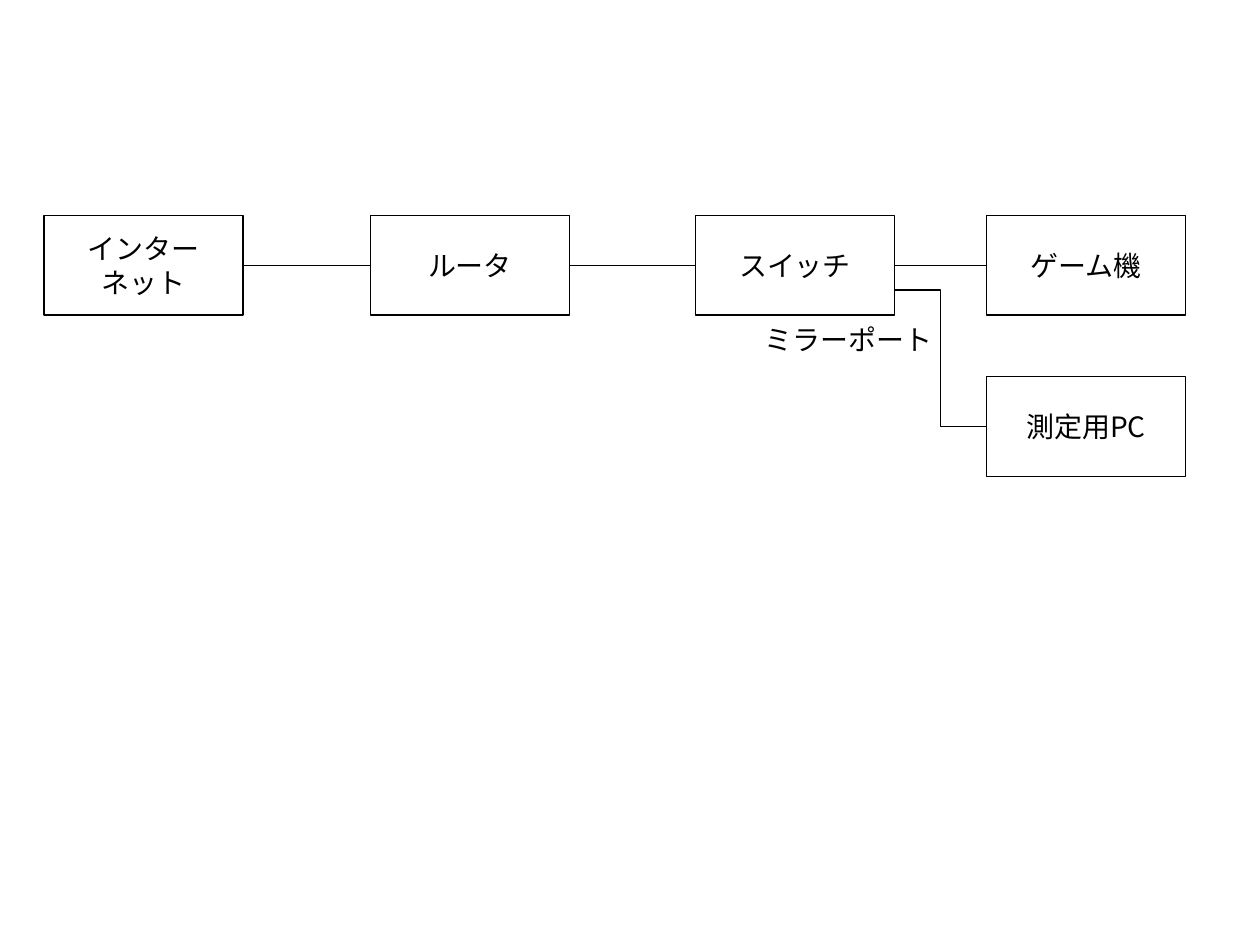
"""Build a network diagram showing a switch with a mirror port to a measuring PC."""
from lxml.etree import SubElement
from pptx import Presentation
from pptx.dml.color import RGBColor
from pptx.enum.shapes import MSO_CONNECTOR as Connector, MSO_SHAPE as Shape
from pptx.enum.text import MSO_ANCHOR as Anchor, MSO_AUTO_SIZE as AutoSize, PP_ALIGN as Align
from pptx.oxml.ns import qn
from pptx.util import Inches, Pt

FONT, TEXT_SIZE, INK, LINE_WIDTH = "Noto Sans CJK JP", 16, "000000", 0.75
BOX_WIDTH, BOX_HEIGHT, BOX_INSET = 1.58, 0.79, 0.39
COLUMNS = (0.35, 2.94, 5.52, 7.83)
ROWS = (1.71, 2.99)
NODES = {
    "internet": (("インター", "ネット"), 0, 0),
    "router": (("ルータ",), 1, 0),
    "switch": (("スイッチ",), 2, 0),
    "console": (("ゲーム機",), 3, 0),
    "pc": (("測定用PC",), 3, 1),
}
LINKS = (
    ("internet", "router", Connector.STRAIGHT, 0.5),
    ("router", "switch", Connector.STRAIGHT, 0.5),
    ("switch", "console", Connector.STRAIGHT, 0.5),
    ("switch", "pc", Connector.ELBOW, 0.75),
)
PORT_LABEL = ("ミラーポート", 5.97, 2.51, 1.55, 0.37)


def color(value):
    return RGBColor.from_string(value)


def write(frame, lines, alignment):
    frame.word_wrap = False
    for index, line in enumerate(lines):
        paragraph = frame.add_paragraph() if index else frame.paragraphs[0]
        paragraph.alignment = alignment
        run = paragraph.add_run()
        run.text = line
        run.font.size = Pt(TEXT_SIZE)
        run.font.color.rgb = color(INK)
        run.font.name = FONT
        SubElement(run.font._element, qn("a:ea"), typeface=FONT)


def draw_line(line):
    line.color.rgb = color(INK)
    line.width = Pt(LINE_WIDTH)


def add_node(slide, lines, column, row):
    box = slide.shapes.add_shape(
        Shape.RECTANGLE, Inches(COLUMNS[column]), Inches(ROWS[row]),
        Inches(BOX_WIDTH), Inches(BOX_HEIGHT))
    box.shadow.inherit = False
    box.fill.background()
    draw_line(box.line)
    frame = box.text_frame
    frame.vertical_anchor = Anchor.MIDDLE
    frame.margin_left = frame.margin_right = Inches(BOX_INSET)
    frame.margin_top = frame.margin_bottom = 0
    write(frame, lines, Align.CENTER)
    return box


def add_link(slide, start, end, kind, share):
    connector = slide.shapes.add_connector(
        kind, start.left + start.width, start.top + int(start.height * share),
        end.left, end.top + end.height // 2)
    draw_line(connector.line)
    SubElement(connector._element.spPr, qn("a:effectLst"))


presentation = Presentation()
presentation.slide_width, presentation.slide_height = Inches(10), Inches(7.5)
slide = presentation.slides.add_slide(presentation.slide_layouts[6])
boxes = {name: add_node(slide, *node) for name, node in NODES.items()}
for start, end, kind, share in LINKS:
    add_link(slide, boxes[start], boxes[end], kind, share)
label, *bounds = PORT_LABEL
label_frame = slide.shapes.add_textbox(*map(Inches, bounds)).text_frame
label_frame.auto_size = AutoSize.SHAPE_TO_FIT_TEXT
write(label_frame, (label,), Align.LEFT)
presentation.save("out.pptx")
